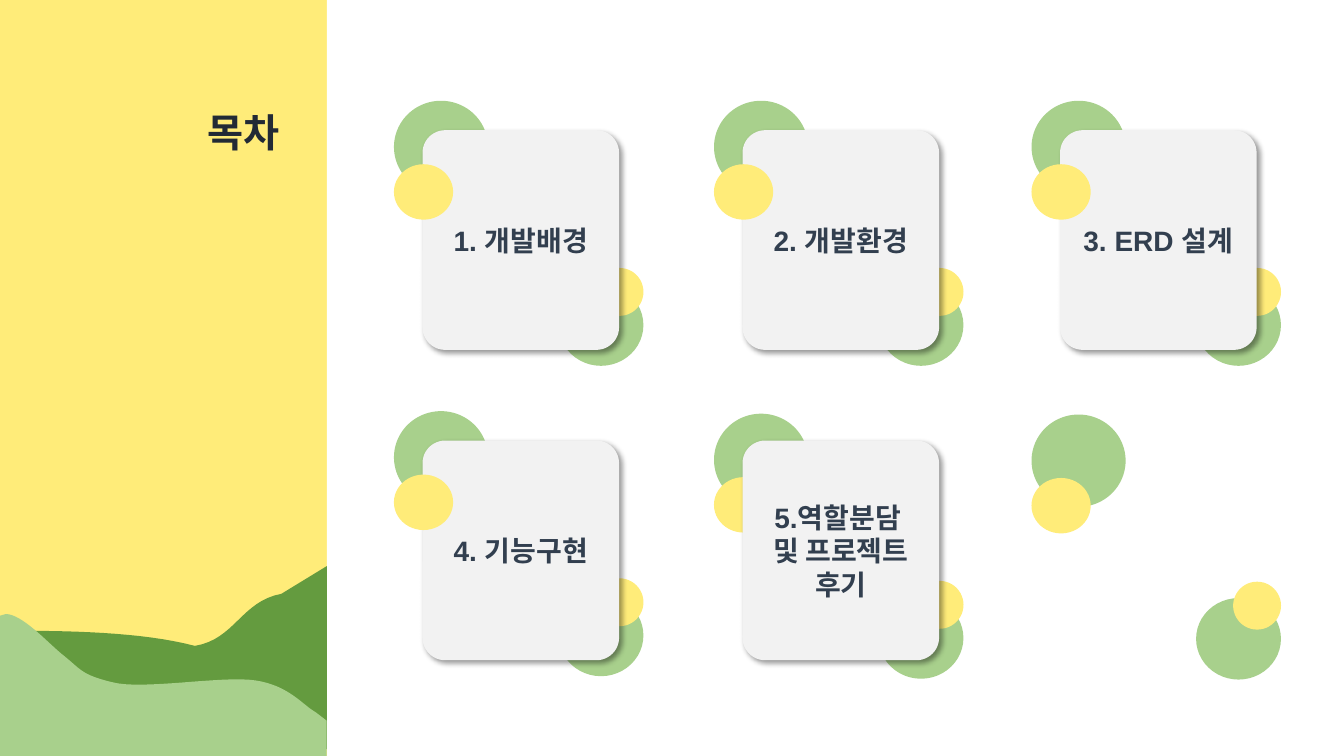
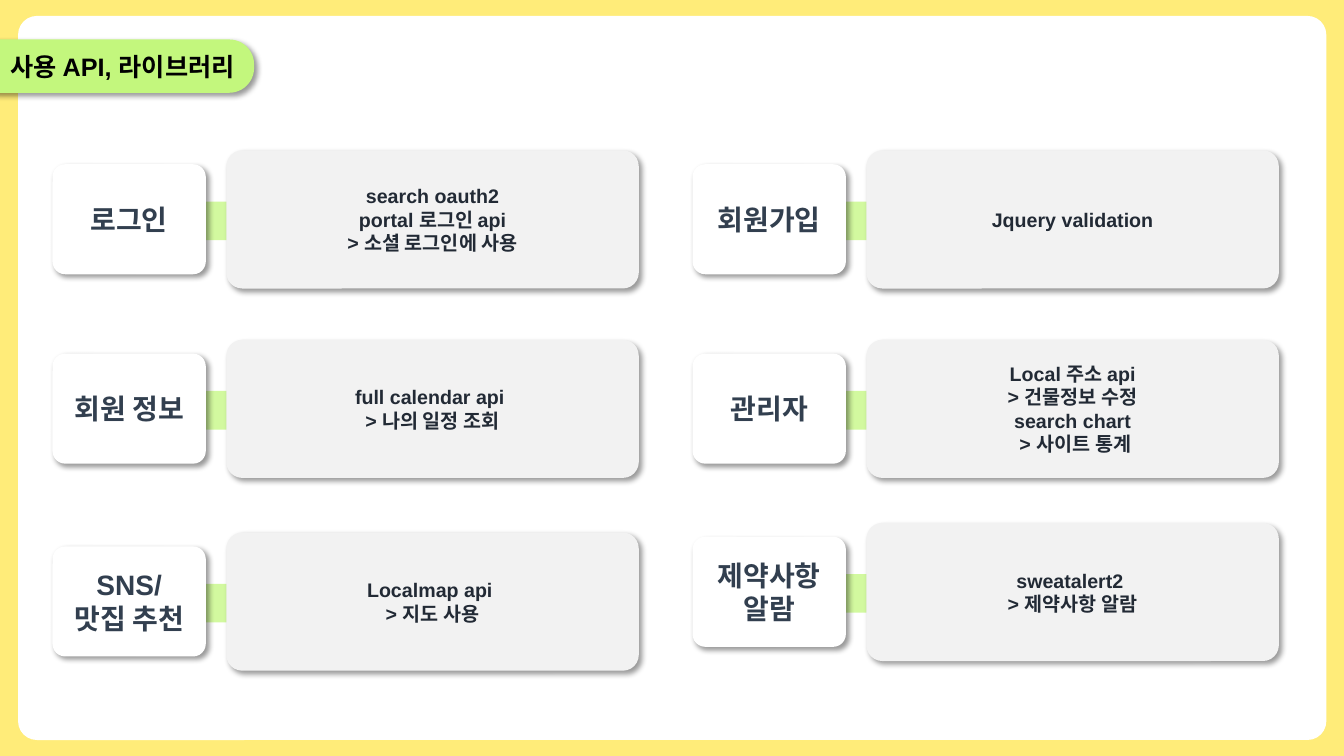
import pptx
import pptx.util
import pptx.dml.color
import pptx.enum.shapes
import pptx.enum.text
import pptx.oxml
import pptx.oxml.ns

# The slide is a grid of 160 columns by 90 rows
COLS, ROWS = 160, 90
CELL = pptx.util.Inches(1) // 12

HUES = {
    "sun": "FFEC79", "leaf": "A8D08C", "moss": "649B3F", "lime": "C3F77D",
    "link": "D2F99F", "page": "FFFFFF", "card": "F2F2F2",
    "ink": "222A35", "slate": "323F4F", "black": "000000",
}
HEAD = {"name": "Arial", "size": pptx.util.Pt(20), "bold": True}
BODY = {"name": "Arial", "size": pptx.util.Pt(14), "bold": True}
FRAME = {
    "word_wrap": True,
    "margin_left": pptx.util.Inches(0.1), "margin_right": pptx.util.Inches(0.1),
    "margin_top": pptx.util.Inches(0.05), "margin_bottom": pptx.util.Inches(0.05),
}
SHADE = (
    '<a:outerShdw %s blurRad="50800" dist="38100" dir="2700000" algn="tl" '
    'rotWithShape="0"><a:srgbClr val="000000"><a:alpha val="40000"/>'
    '</a:srgbClr></a:outerShdw>' % pptx.oxml.ns.nsdecls("a")
)
KIND = pptx.enum.shapes.MSO_SHAPE
SIDE = pptx.enum.text.PP_ALIGN
HOLD = pptx.enum.text.MSO_ANCHOR


def cells(*vals):
    return [round(v * CELL) for v in vals]


def tone(name):
    return pptx.dml.color.RGBColor.from_string(HUES[name])


def apply(item, form):
    for key, val in form.items():
        setattr(item, key, val)


def paint(shape, hue):
    shape.shadow.inherit = False
    shape.fill.solid()
    shape.fill.fore_color.rgb = tone(hue)
    shape.line.fill.background()


def write(shape, lines, form, hue, side=SIDE.CENTER, hold=HOLD.MIDDLE):
    frame = shape.text_frame
    apply(frame, {**FRAME, "vertical_anchor": hold})
    for num, line in enumerate(lines):
        para = frame.add_paragraph() if num else frame.paragraphs[0]
        para.alignment = side
        run = para.add_run()
        run.text = line
        apply(run.font, form)
        run.font.color.rgb = tone(hue)


def draw(slide, kind, base, part, hue, curve=None, shade=False):
    """Place a part, given relative to the base corner."""
    left, top, wide, high = part
    spot = cells(base[0] + left, base[1] + top, wide, high)
    shape = slide.shapes.add_shape(kind, *spot)
    paint(shape, hue)
    if curve is not None:
        shape.adjustments[0] = curve
    if shade:
        glow = shape._element.spPr.find(pptx.oxml.ns.qn("a:effectLst"))
        glow.append(pptx.oxml.parse_xml(SHADE))
    return shape


def panel(slide, base, part, hue, lines, form, ink):
    shape = draw(slide, KIND.ROUNDED_RECTANGLE, base, part, hue, 0.115, True)
    write(shape, lines, form, ink)


def title(slide, box, text, size, hue, side):
    head = slide.shapes.title
    apply(head, dict(zip(("left", "top", "width", "height"), cells(*box))))
    head.text_frame.auto_size = pptx.enum.text.MSO_AUTO_SIZE.NONE
    write(head, [text], {**HEAD, "size": pptx.util.Pt(size)}, hue, side, HOLD.TOP)
    slide.shapes._spTree.append(head._element)  # bring to front


def hill(slide, start, steps, hue):
    """Trace steps of one point (line) or three points (cubic curve)."""
    pen, dots = start, []
    for step in steps:
        if len(step) == 1:
            dots += step
        else:
            knots = (pen, *step)
            for num in range(1, 17):
                t = num / 16
                mix = ((1 - t) ** 3, 3 * t * (1 - t) ** 2, 3 * t * t * (1 - t), t ** 3)
                dots.append([sum(m * k[axis] for m, k in zip(mix, knots))
                             for axis in (0, 1)])
        pen = step[-1]
    path = slide.shapes.build_freeform(*cells(*start), scale=1.0)
    path.add_line_segments([cells(*dot) for dot in dots], close=True)
    paint(path.convert_to_shape(), hue)


def topic(slide, base, lines, drop=0, front=True):
    """Card with discs; drop lowers the discs, front lifts one over the card."""
    low = (base[0], base[1] + drop)
    discs = [
        ((0, 0, 11.2, 11), "leaf"),
        ((19.6, 21.85, 10.1, 9.7), "leaf"),
        ((24, 19.9, 5.7, 5.7), "sun"),
        ((0, 7.55, 7.05, 6.6), "sun"),
    ]
    back = discs[:-1] if front else discs
    for part, hue in back:
        draw(slide, KIND.OVAL, low, part, hue)
    if lines:
        panel(slide, base, (3.4, 3.5, 23.4, 26.15), "card", lines, HEAD, "slate")
    for part, hue in discs[len(back):]:
        draw(slide, KIND.OVAL, low, part, hue)


def tool(slide, base, name, lines):
    """Label, link and detail panel."""
    draw(slide, KIND.RECTANGLE, base, (16.1, 6.1, 6.8, 4.6), "link")
    panel(slide, base, (0, 1.65, 18.25, 13.1), "page", name, HEAD, "slate")
    panel(slide, base, (20.7, 0, 49.1, 16.45), "card", lines, BODY, "ink")


def agenda(slide):
    edge = 38.9
    draw(slide, KIND.RECTANGLE, (edge, 0), (0, 0, COLS - edge, ROWS), "page")

    # Hills in the side band
    hill(slide, (1.8, 75.1), [
        [(7.7, 75.1), (16.8, 75.2), (23.2, 76.9)],
        [(28, 76.1), (28.7, 71.6), (33.5, 70.7)],
        [(edge, 67.4)], [(edge, 89.2)], [(2, 89.2)],
    ], "moss")
    hill(slide, (0.7, 73.1), [
        [(2.6, 73.1), (5.6, 76.4), (7.4, 77.9)],
        [(9.7, 79.7), (9.6, 80.3), (13.3, 81.2)],
        [(16.9, 82.2), (26.4, 80.4), (30.4, 81)],
        [(34.4, 81.6), (36, 83.9), (37.6, 84.8)],
        [(edge, 85.8)], [(edge, ROWS)], [(0, ROWS)], [(0, 73.3)],
    ], "leaf")

    # Topics, row by row
    cols, rows = (46.9, 85, 122.8), (12, 48.95)
    items = [
        (["1. 개발배경"], 0, True),
        (["2. 개발환경"], 0, True),
        (["3. ERD 설계"], 0, True),
        (["4. 기능구현"], 0, True),
        (["5.역할분담 ", "및 프로젝트 후기"], 0.3, False),
        ([], 0.4, True),
    ]
    for num, item in enumerate(items):
        row, col = divmod(num, len(cols))
        topic(slide, (cols[col], rows[row]), *item)
    title(slide, (6.1, 12.35, 28.35, 6.85), "목차", 28, "ink", SIDE.RIGHT)


def tools(slide):
    draw(slide, KIND.ROUNDED_RECTANGLE, (0, 0), (2.15, 1.9, 155.75, 86.2),
         "page", 0.026)

    # Two columns of tools
    sets = [
        (6.25, (17.9, 40.45, 63.4), [
            (["로그인"], ["search oauth2", "portal 로그인 api", "> 소셜 로그인에 사용"]),
            (["회원 정보"], ["full calendar api ", "> 나의 일정 조회"]),
            (["SNS/", "맛집 추천"], ["Localmap api ", "> 지도 사용"]),
        ]),
        (82.45, (17.9, 40.45, 62.25), [
            (["회원가입"], ["Jquery validation"]),
            (["관리자"], ["Local 주소 api", "> 건물정보 수정",
                        "search chart", " > 사이트 통계"]),
            (["제약사항", "알람"], ["sweatalert2 ", "> 제약사항 알람"]),
        ]),
    ]
    for left, tops, items in sets:
        for top, item in zip(tops, items):
            tool(slide, (left, top), *item)

    # Title tab
    draw(slide, KIND.ROUNDED_RECTANGLE, (0, 0), (-3.25, 4.7, 33.5, 6.35),
         "lime", 0.468, True)
    title(slide, (-2.15, 5.5, 33.5, 4.8), "사용 API, 라이브러리", 18, "black",
          SIDE.CENTER)


def main():
    deck = pptx.Presentation()
    deck.slide_width, deck.slide_height = cells(COLS, ROWS)
    fill = deck.slide_master.background.fill
    fill.solid()
    fill.fore_color.rgb = tone("sun")
    for build in (agenda, tools):
        build(deck.slides.add_slide(deck.slide_layouts[5]))
    deck.save("out.pptx")


if __name__ == "__main__":
    main()
